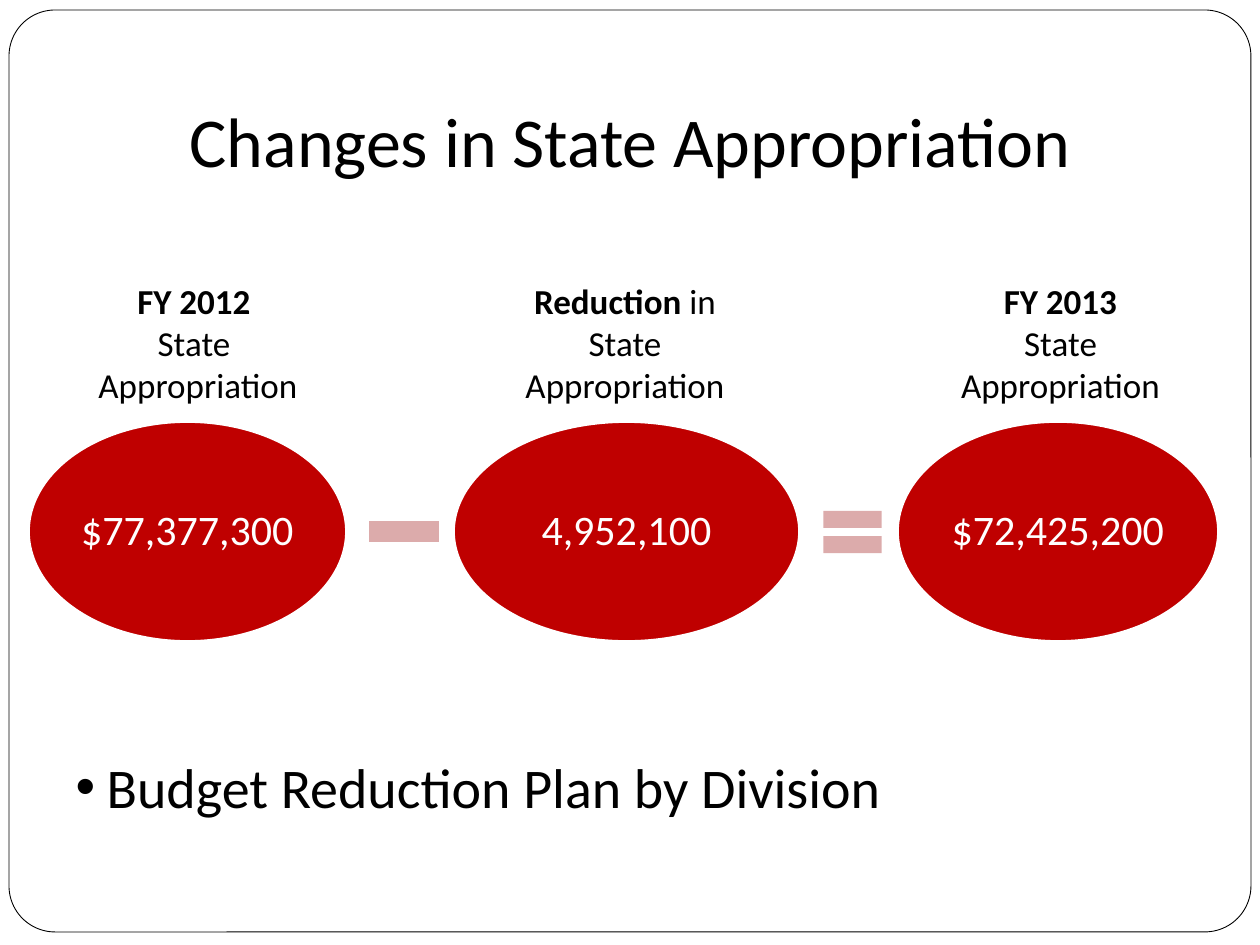
from lxml.etree import SubElement
from pptx import Presentation
from pptx.dml.color import RGBColor
from pptx.enum.shapes import MSO_SHAPE as SHAPE
from pptx.enum.text import MSO_ANCHOR as ANCHOR, MSO_AUTO_SIZE as AUTO, PP_ALIGN as ALIGN
from pptx.oxml.ns import qn
from pptx.util import Pt

# Content: label lines are lists of (text, bold) runs; x and width in px
TITLE = "Changes in State Appropriation"
BULLETS = ["Budget Reduction Plan by Division"]
AMOUNTS = [
    {"value": "$77,377,300", "oval": (29, 317), "label_box": (63, 262),
     "label": [[("FY 2012", True)], [("State", False)], [(" Appropriation", False)]]},
    {"value": "4,952,100", "oval": (454, 345), "label_box": (504, 242),
     "label": [[("Reduction", True), (" in", False)], [("State", False)],
               [("Appropriation", False)]]},
    {"value": "$72,425,200", "oval": (898, 320), "label_box": (945, 231),
     "label": [[("FY 2013", True)], [("State", False)], [("Appropriation", False)]]},
]
OPERATORS = [
    (SHAPE.MATH_MINUS, (357, 485, 94, 93)),
    (SHAPE.MATH_EQUAL, (813, 496, 79, 72)),
]
COLORS = {"white": "FFFFFF", "black": "000000", "red": "BF0000", "pink": "DCABAB"}
FONT = "Calibri"
PX = 914400 // 126
LABEL_TOP, LABEL_H = 273, 140
OVAL_TOP, OVAL_H = 422, 219
BULLET_INDENT = 31


def px(*values):
    return [v * PX for v in values]


def rgb(name):
    return RGBColor.from_string(COLORS[name])


def add_run(p, text, size, color="black", bold=False):
    r = p.add_run()
    r.text = text
    r.font.name, r.font.size, r.font.bold = FONT, Pt(size), bold
    r.font.color.rgb = rgb(color)


def add_shape(kind, box, fill, line=None, width=1):
    sp = s.shapes.add_shape(kind, *px(*box))
    sp.shadow.inherit = False
    sp.fill.solid()
    sp.fill.fore_color.rgb = rgb(fill)
    if line:
        sp.line.color.rgb = rgb(line)
        sp.line.width = Pt(width)
    else:
        sp.line.fill.background()
    return sp


def place(sp, box, anchor):
    sp.left, sp.top, sp.width, sp.height = px(*box)
    tf = sp.text_frame
    tf.auto_size = AUTO.NONE
    tf.vertical_anchor = anchor
    return tf


prs = Presentation()
prs.slide_width, prs.slide_height = px(1260, 945)
s = prs.slides.add_slide(prs.slide_layouts[1])
title, body = s.shapes.title, s.placeholders[1]

# Rounded frame behind everything
frame = add_shape(SHAPE.ROUNDED_RECTANGLE, (9, 10, 1242, 922), "white", "black", 0.5)
frame.adjustments[0] = 0.05
title.element.addprevious(frame.element)

# Title
tf = place(title, (63, 38, 1134, 157), ANCHOR.BOTTOM)
tf.margin_bottom = 13 * PX
p = tf.paragraphs[0]
p.alignment = ALIGN.CENTER
add_run(p, TITLE, 40)

# Amounts with the labels above them
for amount in AMOUNTS:
    x, w = amount["oval"]
    oval = add_shape(SHAPE.OVAL, (x, OVAL_TOP, w, OVAL_H), "red", "white")
    tf = oval.text_frame
    tf.margin_left = tf.margin_right = tf.margin_top = tf.margin_bottom = 4 * PX
    tf.vertical_anchor = ANCHOR.MIDDLE
    p = tf.paragraphs[0]
    p.alignment, p.line_spacing = ALIGN.CENTER, 0.9
    add_run(p, amount["value"], 24, "white")

    x, w = amount["label_box"]
    tf = s.shapes.add_textbox(*px(x, LABEL_TOP, w, LABEL_H)).text_frame
    tf.word_wrap = True
    for i, line in enumerate(amount["label"]):
        p = tf.add_paragraph() if i else tf.paragraphs[0]
        p.alignment = ALIGN.CENTER
        for text, bold in line:
            add_run(p, text, 20, bold=bold)

# Minus and equals signs
for kind, box in OPERATORS:
    add_shape(kind, box, "pink")

# Bullet list
tf = place(body, (63, 746, 842, 81), ANCHOR.TOP)
for i, text in enumerate(BULLETS):
    p = tf.add_paragraph() if i else tf.paragraphs[0]
    pPr = p._p.get_or_add_pPr()
    pPr.set("marL", str(BULLET_INDENT * PX))
    pPr.set("indent", str(-BULLET_INDENT * PX))
    SubElement(pPr, qn("a:buChar"), char="•")
    p.space_before = Pt(0)
    add_run(p, text, 32)

prs.save("out.pptx")
